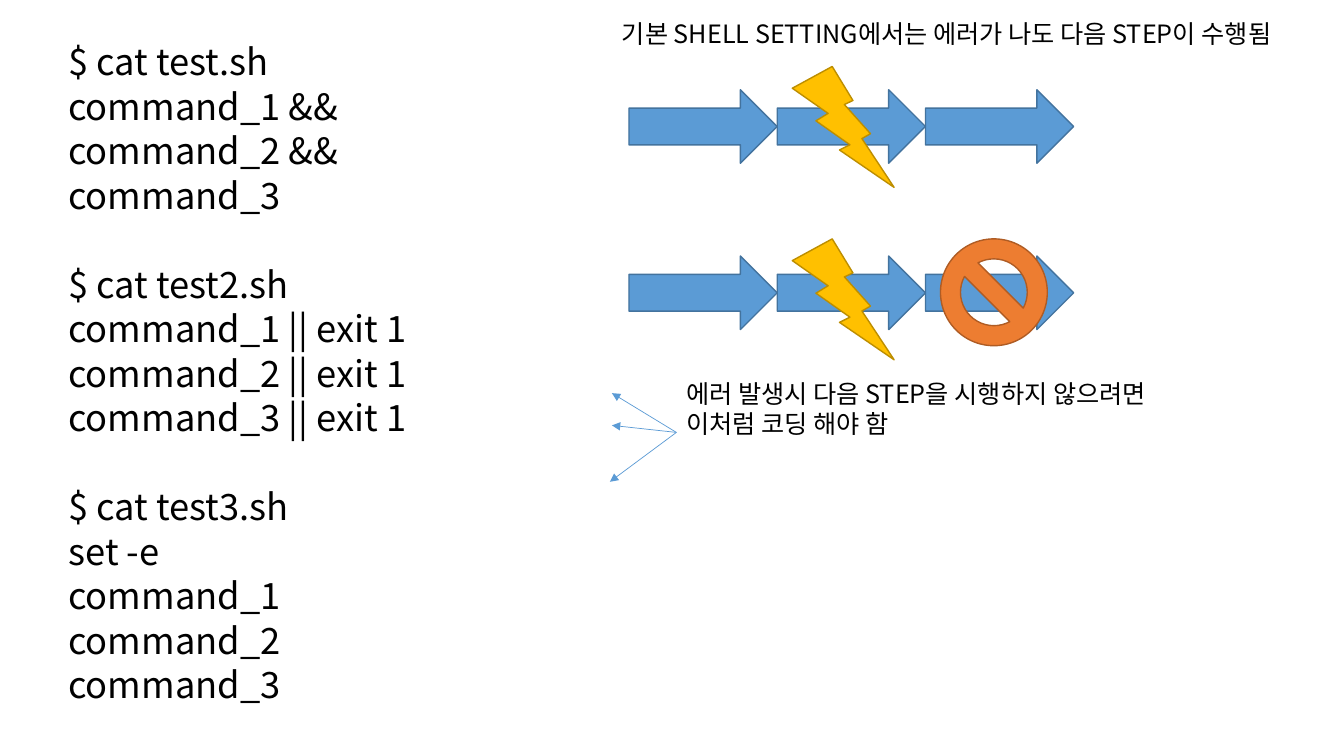
from dataclasses import dataclass

from lxml import etree
from pptx import Presentation
from pptx.dml.color import RGBColor
from pptx.enum.shapes import MSO_CONNECTOR, MSO_SHAPE
from pptx.oxml.ns import qn
from pptx.util import Inches, Length, Pt

ARROW = MSO_SHAPE.RIGHT_ARROW
BOLT = MSO_SHAPE.LIGHTNING_BOLT
STOP = MSO_SHAPE.NO_SYMBOL
STRAIGHT = MSO_CONNECTOR.STRAIGHT
BLANK_LAYOUT = 6
WIDTH, HEIGHT = Inches(13.333), Inches(7.5)


@dataclass(frozen=True)
class Style:
    fill: str
    line: str


@dataclass(frozen=True)
class Theme:
    font: str = "Noto Sans CJK KR"
    text: str = "000000"
    code_size: float = 25.9
    note_size: float = 18
    step: Style = Style("5B9BD5", "43739E")
    error: Style = Style("FFC000", "BD8E00")
    stop: Style = Style("ED7D31", "AF5C24")
    pointer: str = "5B9BD5"


@dataclass(frozen=True)
class Box:
    """A frame in percent of the slide's width and height."""
    left: float
    top: float
    width: float
    height: float

    def emu(self) -> tuple[Length, Length, Length, Length]:
        return (across(self.left), down(self.top),
                across(self.width), down(self.height))


@dataclass(frozen=True)
class Symbol:
    kind: MSO_SHAPE
    box: Box
    style: Style


THEME = Theme()

SCRIPTS = [
    ["$ cat test.sh", "command_1 &&", "command_2 &&", "command_3"],
    ["$ cat test2.sh", *(f"command_{n} || exit 1" for n in (1, 2, 3))],
    ["$ cat test3.sh", "set -e", *(f"command_{n}" for n in (1, 2, 3))],
]
DEFAULT_NOTE = ["기본 SHELL SETTING에서는 에러가 나도 다음 STEP이 수행됨"]
CODING_NOTE = ["에러 발생시 다음 STEP을 시행하지 않으려면", "이처럼 코딩 해야 함"]

STEP_LEFT, STEP_WIDTH, STEP_HEIGHT = 46.8, 11.03, 9.73
FLOW_TOPS = (11.87, 33.87)
BOLT_TOPS = (8.8, 31.6)
SYMBOLS = [
    *(Symbol(ARROW, Box(STEP_LEFT + column * STEP_WIDTH, top, STEP_WIDTH, STEP_HEIGHT),
             THEME.step)
      for top in FLOW_TOPS for column in range(3)),
    Symbol(STOP, Box(69.98, 31.6, 7.95, 14.13), THEME.stop),
    *(Symbol(BOLT, Box(58.95, top, 7.58, 16), THEME.error) for top in BOLT_TOPS),
]
POINTER_START = (50.33, 57.2)
POINTER_ENDS = [(45.53, 56.27), (45.53, 52), (45.38, 63.73)]


def across(percent: float) -> Length:
    return Length(round(WIDTH * percent / 100))


def down(percent: float) -> Length:
    return Length(round(HEIGHT * percent / 100))


def add_text(slide, box: Box, groups: list[list[str]], *, size: float,
             line_spacing: float = 1.0, space_before: float = 0,
             group_gap: float = 0, wrap: bool = False) -> None:
    """Write one paragraph per line, with extra space between groups."""
    frame = slide.shapes.add_textbox(*box.emu()).text_frame
    frame.word_wrap = wrap
    lines = [(line, group_gap if group_index and not line_index else 0)
             for group_index, group in enumerate(groups)
             for line_index, line in enumerate(group)]
    for index, (line, gap) in enumerate(lines):
        paragraph = frame.add_paragraph() if index else frame.paragraphs[0]
        paragraph.line_spacing = line_spacing
        paragraph.space_before = Pt(space_before + gap)
        run = paragraph.add_run()
        run.text = line
        run.font.name = THEME.font
        run.font.size = Pt(size)
        run.font.color.rgb = RGBColor.from_string(THEME.text)
        east_asian = etree.SubElement(run.font._element, qn("a:ea"))
        east_asian.set("typeface", THEME.font)


def add_symbol(slide, symbol: Symbol) -> None:
    shape = slide.shapes.add_shape(symbol.kind, *symbol.box.emu())
    shape.shadow.inherit = False
    shape.fill.solid()
    shape.fill.fore_color.rgb = RGBColor.from_string(symbol.style.fill)
    shape.line.color.rgb = RGBColor.from_string(symbol.style.line)
    shape.line.width = Pt(1)


def add_pointer(slide, start: tuple[float, float], end: tuple[float, float]) -> None:
    connector = slide.shapes.add_connector(
        STRAIGHT, across(start[0]), down(start[1]), across(end[0]), down(end[1]))
    connector.line.color.rgb = RGBColor.from_string(THEME.pointer)
    connector.line.width = Pt(0.5)
    properties = connector._element.spPr
    etree.SubElement(properties.find(qn("a:ln")), qn("a:tailEnd")).set("type", "triangle")
    etree.SubElement(properties, qn("a:effectLst"))


def main() -> None:
    presentation = Presentation()
    presentation.slide_width, presentation.slide_height = WIDTH, HEIGHT
    slide = presentation.slides.add_slide(presentation.slide_layouts[BLANK_LAYOUT])

    add_text(slide, Box(4.35, 6.13, 32.7, 89.73), SCRIPTS, size=THEME.code_size,
             line_spacing=0.7, space_before=10, group_gap=31.8, wrap=True)
    for symbol in SYMBOLS:
        add_symbol(slide, symbol)
    add_text(slide, Box(50.33, 49.33, 39.23, 9.47), [CODING_NOTE], size=THEME.note_size)
    add_text(slide, Box(45.53, 1.73, 53.1, 5.33), [DEFAULT_NOTE], size=THEME.note_size)
    for end in POINTER_ENDS:
        add_pointer(slide, POINTER_START, end)

    presentation.save("out.pptx")


if __name__ == "__main__":
    main()
